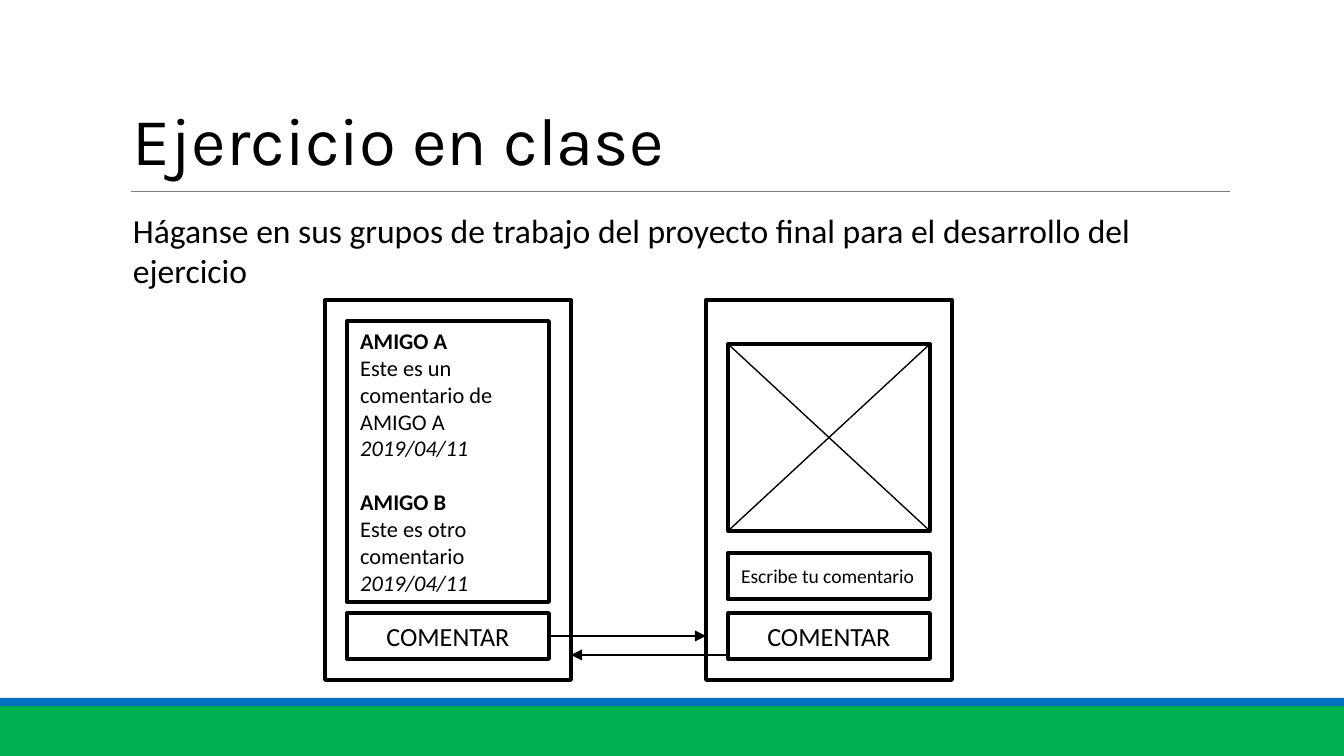
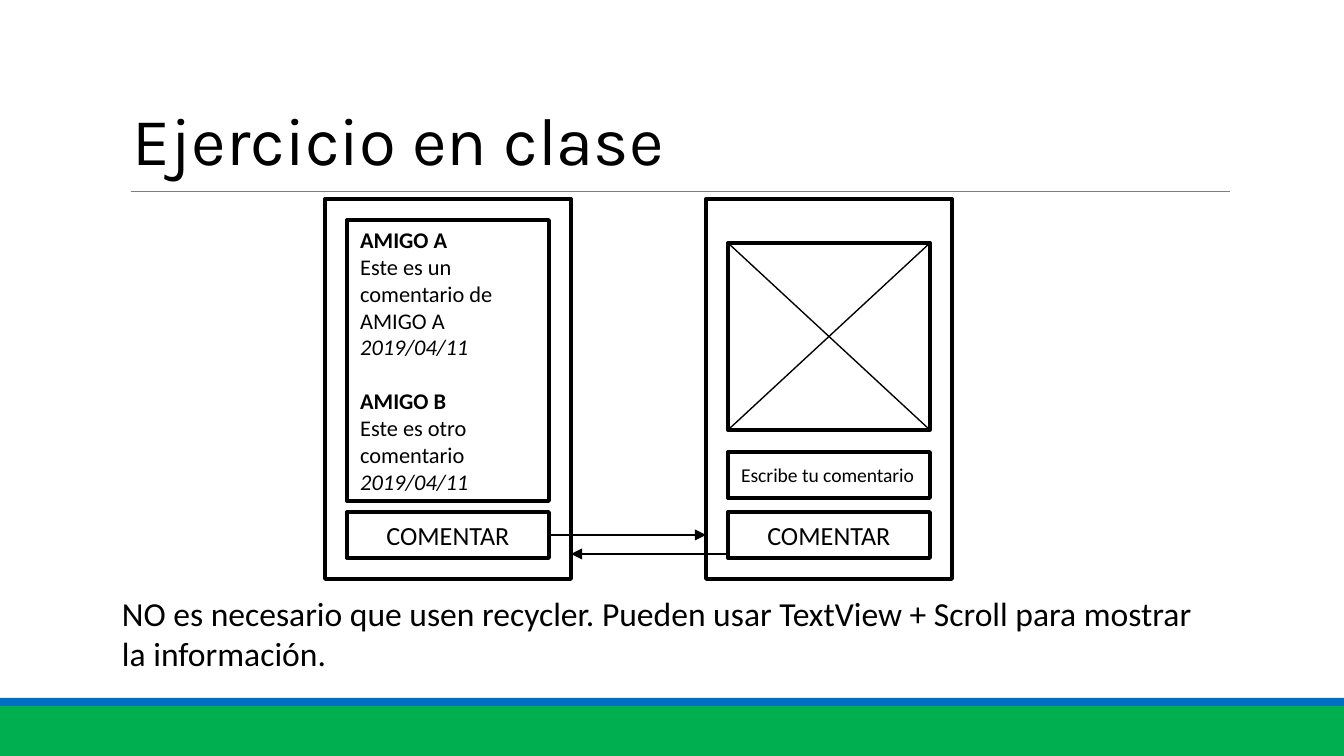
import pptx
import pptx.dml.color
import pptx.enum.shapes
import pptx.enum.text
import pptx.oxml.ns
import pptx.util
from lxml import etree

EMU_PER_PIXEL = 914400 / 134.4
PAGE_WIDTH, PAGE_HEIGHT = 1344, 756
BLACK, WHITE = "000000", "FFFFFF"
GREEN, BLUE, GREY = "00AF50", "006FC0", "7E7E7E"
BODY_FONT, TITLE_FONT = "Calibri", "Karla"
ALIGN = pptx.enum.text.PP_ALIGN
ANCHOR = pptx.enum.text.MSO_ANCHOR

# Wireframe measures: two phone screens with the same inner column.
SCREEN_LEFTS = (325, 706)
SCREEN_WIDTH, SCREEN_HEIGHT = 246, 380
PADDING = 22
INNER_WIDTH = SCREEN_WIDTH - 2 * PADDING
CONTROL_HEIGHT = 46
BUTTON_OFFSET = 313

COMMENTS = [
    ("AMIGO A", "Este es un comentario de AMIGO A", "2019/04/11"),
    ("AMIGO B", "Este es otro comentario", "2019/04/11"),
]


def px(length):
    """Turn pixels into EMU."""
    return pptx.util.Emu(round(length * EMU_PER_PIXEL))


def colour(code):
    """Turn a hex string into a colour."""
    return pptx.dml.color.RGBColor.from_string(code)


def write(frame, text, size=12, font=BODY_FONT, ink=BLACK, bold=False,
          italic=False, align=ALIGN.LEFT, before=0):
    """Write one formatted paragraph into a text frame, after any others."""
    para = frame.paragraphs[0]
    if para.runs:
        para = frame.add_paragraph()
    para.alignment = align
    para.space_before = pptx.util.Pt(before)
    span = para.add_run()
    span.text = text
    span.font.name = font
    span.font.size = pptx.util.Pt(size)
    span.font.color.rgb = colour(ink)
    span.font.bold = bold
    span.font.italic = italic


def add_text(page, left, top, width, height, text, **style):
    """Add a wrapped text box without insets."""
    box = page.shapes.add_textbox(px(left), px(top), px(width), px(height))
    frame = box.text_frame
    frame.word_wrap = True
    frame.margin_left = frame.margin_right = 0
    frame.margin_top = frame.margin_bottom = 0
    write(frame, text, **style)


def add_box(page, left, top, width, height, fill=WHITE, outline=BLACK):
    """Add a rectangle and return its text frame."""
    box = page.shapes.add_shape(
        pptx.enum.shapes.MSO_SHAPE.RECTANGLE,
        px(left), px(top), px(width), px(height))
    box.shadow.inherit = False
    box.fill.solid()
    box.fill.fore_color.rgb = colour(fill)
    if outline:
        box.line.color.rgb = colour(outline)
        box.line.width = pptx.util.Pt(2)
    else:
        box.line.fill.background()
    frame = box.text_frame
    frame.word_wrap = True
    frame.vertical_anchor = ANCHOR.MIDDLE
    return frame


def add_line(page, start, end, ink=BLACK, weight=0.75, arrow=False):
    """Add a straight line, with an arrowhead at its end if asked."""
    line = page.shapes.add_connector(
        pptx.enum.shapes.MSO_CONNECTOR.STRAIGHT,
        px(start[0]), px(start[1]), px(end[0]), px(end[1]))
    line.line.color.rgb = colour(ink)
    line.line.width = pptx.util.Pt(weight)
    qn = pptx.oxml.ns.qn
    if arrow:
        etree.SubElement(line.line._get_or_add_ln(), qn("a:tailEnd"),
                         type="triangle")
    etree.SubElement(line._element.spPr, qn("a:effectLst"))


def add_page(deck, title):
    """Add a page with the shared bands, rule and title."""
    page = deck.slides.add_slide(deck.slide_layouts[6])
    add_box(page, 0, 706, PAGE_WIDTH, 50, fill=GREEN, outline=None)
    add_box(page, 0, 698, PAGE_WIDTH, 8, fill=BLUE, outline=None)
    add_line(page, (131, 191), (1230, 191), ink=GREY, weight=0.48)
    add_text(page, 133, 98, 1079, 82, title, size=36, font=TITLE_FONT)
    return page


def add_button(page, left, top):
    """Add the comment button of a screen."""
    frame = add_box(page, left, top, INNER_WIDTH, CONTROL_HEIGHT)
    write(frame, "COMENTAR", size=14, align=ALIGN.CENTER)


def add_comment_list(page, left, top):
    """Add the box that lists the friends' comments."""
    frame = add_box(page, left, top, INNER_WIDTH, 281)
    for number, (author, comment, date) in enumerate(COMMENTS):
        write(frame, author, bold=True, before=14.5 if number else 0)
        write(frame, comment)
        write(frame, date, italic=True)


def add_image_frame(page, left, top, height=187):
    """Add a crossed box that stands for an image."""
    right, bottom = left + INNER_WIDTH, top + height
    add_box(page, left, top, INNER_WIDTH, height)
    add_line(page, (left, top), (right, bottom))
    add_line(page, (left, bottom), (right, top))


def add_wireframe(page, top):
    """Add the two linked phone screens."""
    for left in SCREEN_LEFTS:
        add_box(page, left, top, SCREEN_WIDTH, SCREEN_HEIGHT)
        add_button(page, left + PADDING, top + BUTTON_OFFSET)
    list_left, form_left = (left + PADDING for left in SCREEN_LEFTS)
    add_comment_list(page, list_left, top + 21)
    add_image_frame(page, form_left, top + 44)
    field = add_box(page, form_left, top + 253, INNER_WIDTH, CONTROL_HEIGHT)
    write(field, "Escribe tu comentario", size=10.5)

    forward, back = top + 336, top + 355
    add_line(page, (list_left + INNER_WIDTH, forward),
             (SCREEN_LEFTS[1], forward), arrow=True)
    add_line(page, (form_left, back),
             (SCREEN_LEFTS[0] + SCREEN_WIDTH, back), arrow=True)


def main():
    """Build the deck and save it."""
    deck = pptx.Presentation()
    deck.slide_width, deck.slide_height = px(PAGE_WIDTH), px(PAGE_HEIGHT)

    page = add_page(deck, "Ejercicio en clase")
    add_text(page, 133, 210, 1099, 82,
             "Háganse en sus grupos de trabajo del proyecto final para el "
             "desarrollo del ejercicio", size=18)
    add_wireframe(page, 300)

    page = add_page(deck, "Ejercicio en clase")
    add_wireframe(page, 199)
    add_text(page, 122, 593, 1099, 82,
             "NO es necesario que usen recycler. Pueden usar TextView + "
             "Scroll para mostrar la información.", size=18)

    deck.save("out.pptx")


main()
